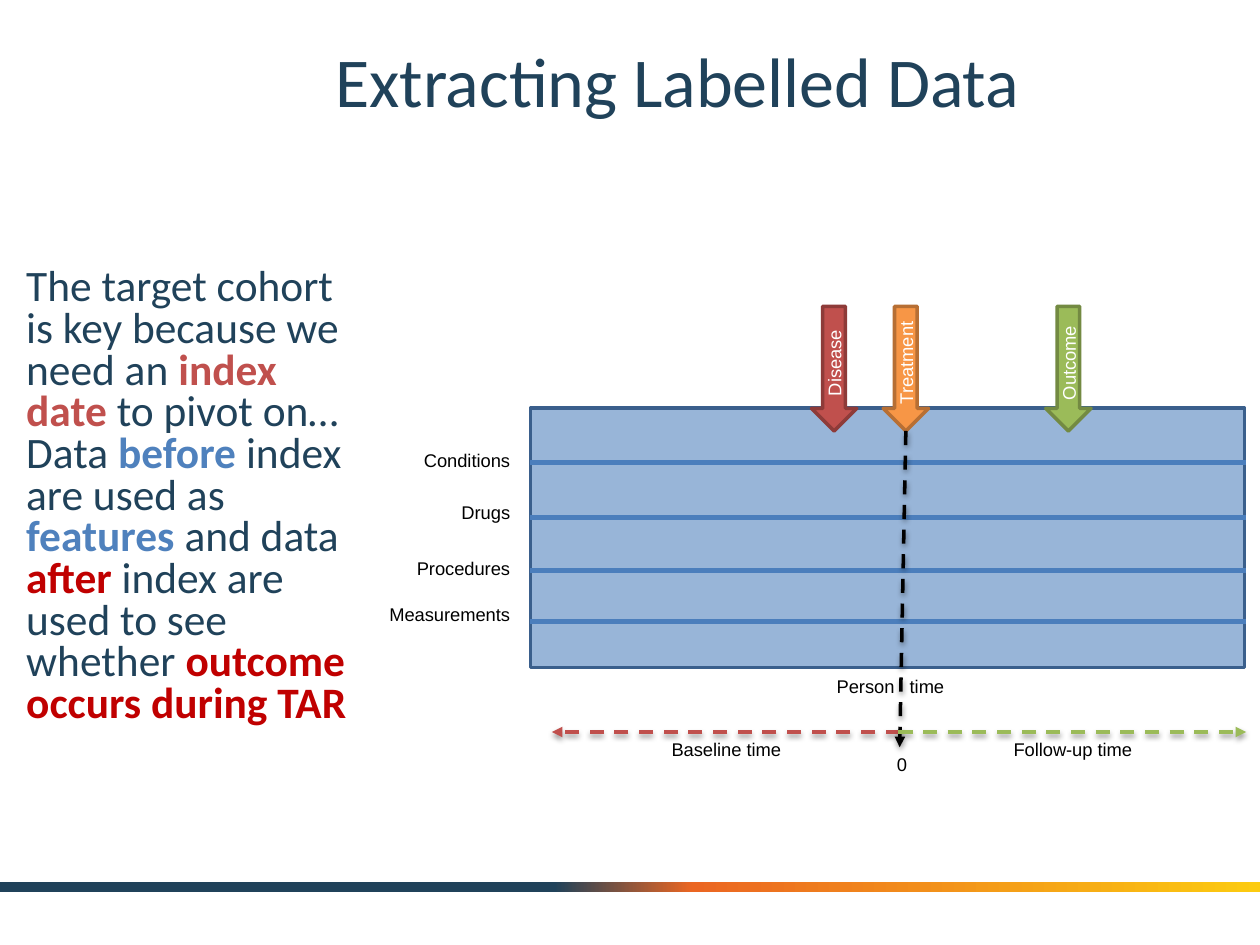
"""Build the slide 'Extracting Labelled Data' with its patient timeline."""
from lxml import etree
from pptx import Presentation
from pptx.dml.color import RGBColor
from pptx.enum import dml, shapes, text
from pptx.oxml import ns
from pptx.util import Pt

NAVY = RGBColor(0x20, 0x42, 0x5A)
RED = RGBColor(0xC0, 0x50, 0x4D)
DARK_RED = RGBColor(0xC0, 0x00, 0x00)
BLUE = RGBColor(0x4F, 0x81, 0xBD)
LANE_BLUE = RGBColor(0x4B, 0x7E, 0xBC)
FRAME_BLUE = RGBColor(0x3A, 0x5F, 0x8C)
ORANGE = RGBColor(0xF7, 0x96, 0x46)
GREEN = RGBColor(0x9B, 0xBB, 0x59)
RED_EDGE = RGBColor(0x8E, 0x3B, 0x39)
ORANGE_EDGE = RGBColor(0xB7, 0x6F, 0x34)
GREEN_EDGE = RGBColor(0x73, 0x8A, 0x42)
BLACK = RGBColor(0, 0, 0)
WHITE = RGBColor(0xFF, 0xFF, 0xFF)

LEFT, CENTER, RIGHT = text.PP_ALIGN.LEFT, text.PP_ALIGN.CENTER, text.PP_ALIGN.RIGHT
TOP, MIDDLE = text.MSO_ANCHOR.TOP, text.MSO_ANCHOR.MIDDLE

TITLE = "Extracting Labelled Data"
BODY = [
    ("The target cohort is key because we need an ", NAVY, False),
    ("index date ", RED, True),
    ("to pivot on… Data ", NAVY, False),
    ("before", BLUE, True),
    (" index are used as ", NAVY, False),
    ("features", BLUE, True),
    (" and data ", NAVY, False),
    ("after", DARK_RED, True),
    (" index are used to see whether ", NAVY, False),
    ("outcome occurs during TAR", DARK_RED, True),
]
LANES = [
    ("Conditions", 264.2, 253.4),
    ("Drugs", 295.9, 283),
    ("Procedures", 326.2, 314.6),
    ("Measurements", 355, 341.3),
]
EVENTS = [
    ("Disease", 463.7, RED, RED_EDGE),
    ("Treatment", 504.7, ORANGE, ORANGE_EDGE),
    ("Outcome", 597.6, GREEN, GREEN_EDGE),
]
PERIODS = [
    ("Baseline time", 315.4, 514.1, 315.4, RED),
    ("Follow-up time", 513.4, 513.4, 712.1, GREEN),
]
GRADIENT = [(0, NAVY), (44, NAVY), (55, RGBColor(0xEB, 0x66, 0x22)), (100, RGBColor(0xFC, 0xCB, 0x10))]

FRAME_LEFT, FRAME_TOP, FRAME_WIDTH, FRAME_HEIGHT = 303.1, 233.3, 408.2, 148.3
LANE_RIGHT = 712.1
LABEL_HEIGHT = 20.2
ARROW_TOP, ARROW_WIDTH, ARROW_HEIGHT = 175, 25.9, 71.3
INDEX_X, AXIS_Y, INDEX_END = 514.1, 418.3, 427


def child(parent, tag, **attributes):
    return etree.SubElement(parent, ns.qn(tag), {key: str(value) for key, value in attributes.items()})


def write(frame, runs, *, size=10.5, font="Arial", color=BLACK, align=LEFT, anchor=TOP,
          insets=(7.2, 3.6, 7.2, 3.6), spacing=None, tab=None):
    frame.word_wrap = True
    frame.vertical_anchor = anchor
    frame.margin_left, frame.margin_top, frame.margin_right, frame.margin_bottom = map(Pt, insets)
    paragraph = frame.paragraphs[0]
    paragraph.alignment = align
    if spacing:
        paragraph.line_spacing = spacing
    if tab:
        tabs = child(paragraph._p.get_or_add_pPr(), "a:tabLst")
        child(tabs, "a:tab", pos=int(Pt(tab)), algn="l")
    for content, run_color, bold in [(runs, color, False)] if isinstance(runs, str) else runs:
        run = paragraph.add_run()
        run.text = content
        run.font.name, run.font.size, run.font.bold = font, Pt(size), bold
        run.font.color.rgb = run_color


def add_text(slide, box, runs, **style):
    write(slide.shapes.add_textbox(*map(Pt, box)).text_frame, runs, **style)


def add_block(slide, kind, box, fill, edge):
    shape = slide.shapes.add_shape(kind, *map(Pt, box))
    shape.shadow.inherit = False
    shape.fill.solid()
    shape.fill.fore_color.rgb = fill
    shape.line.color.rgb = edge
    shape.line.width = Pt(2)
    return shape


def add_line(slide, start, end, color, width=2, arrow=False):
    line = slide.shapes.add_connector(shapes.MSO_CONNECTOR.STRAIGHT, *map(Pt, start + end))
    line.line.color.rgb = color
    line.line.width = Pt(width)
    properties = line._element.spPr
    if arrow:
        line.line.dash_style = dml.MSO_LINE.DASH
        child(properties.find(ns.qn("a:ln")), "a:tailEnd", type="triangle")
    effects = child(properties, "a:effectLst")
    if arrow:
        shadow = child(effects, "a:outerShdw", blurRad=int(Pt(3.1)), dist=int(Pt(1.6)),
                       dir=5400000, rotWithShape=0)
        child(child(shadow, "a:srgbClr", val=BLACK), "a:alpha", val=38000)


def add_footer_band(slide):
    band = slide.shapes.add_shape(shapes.MSO_SHAPE.RECTANGLE, 0, Pt(504), Pt(720), Pt(5.8))
    band.shadow.inherit = False
    band.line.fill.background()
    band.fill.gradient()
    band.fill.gradient_angle = 0
    stops = next(band._element.spPr.iter(ns.qn("a:gsLst")))
    for stop in list(stops):
        stops.remove(stop)
    for position, color in GRADIENT:
        child(child(stops, "a:gs", pos=position * 1000), "a:srgbClr", val=color)


def add_timeline(slide):
    frame = add_block(slide, shapes.MSO_SHAPE.RECTANGLE,
                      (FRAME_LEFT, FRAME_TOP, FRAME_WIDTH, FRAME_HEIGHT), BLUE, FRAME_BLUE)
    child(next(frame._element.spPr.iter(ns.qn("a:srgbClr"))), "a:alpha", val=58000)
    for label, line_y, label_top in LANES:
        add_line(slide, (FRAME_LEFT, line_y), (LANE_RIGHT, line_y), LANE_BLUE, width=2.75)
        add_text(slide, (199.2, label_top, 99.4, LABEL_HEIGHT), label, align=RIGHT)
    add_text(slide, (FRAME_LEFT, 382.3, 409, LABEL_HEIGHT), "Person\ttime",
             insets=(175, 3.6, 7.2, 3.6), tab=41.7)

    for label, left, fill, edge in EVENTS:
        arrow = add_block(slide, shapes.MSO_SHAPE.DOWN_ARROW,
                          (left, ARROW_TOP, ARROW_WIDTH, ARROW_HEIGHT), fill, edge)
        write(arrow.text_frame, label, color=WHITE, align=CENTER, anchor=MIDDLE, insets=(0, 0, 0, 0))
        arrow.text_frame._txBody.bodyPr.set("vert", "vert270")

    treatment_x = EVENTS[1][1] + ARROW_WIDTH / 2
    add_line(slide, (treatment_x, ARROW_TOP + ARROW_HEIGHT), (INDEX_X, INDEX_END), BLACK, arrow=True)
    add_text(slide, (505.4, INDEX_END, 14.4, LABEL_HEIGHT), "0", insets=(7.2, 3.6, 0, 3.6))
    for label, left, start, end, color in PERIODS:
        add_line(slide, (start, AXIS_Y), (end, AXIS_Y), color, arrow=True)
        add_text(slide, (left, AXIS_Y, 199.4, LABEL_HEIGHT), label, align=CENTER)


def main():
    presentation = Presentation()
    presentation.slide_width, presentation.slide_height = Pt(720), Pt(540)
    slide = presentation.slides.add_slide(presentation.slide_layouts[6])
    add_footer_band(slide)
    add_text(slide, (90, 12.2, 594, 66.2), TITLE, size=40, font="Calibri", color=NAVY,
             align=CENTER, anchor=MIDDLE, insets=(7.2,) * 4)
    add_text(slide, (7.9, 146.2, 208.8, 289.4), BODY, size=24.8, font="Calibri",
             insets=(7.2,) * 4, spacing=0.8)
    add_timeline(slide)
    presentation.save("out.pptx")


if __name__ == "__main__":
    main()
